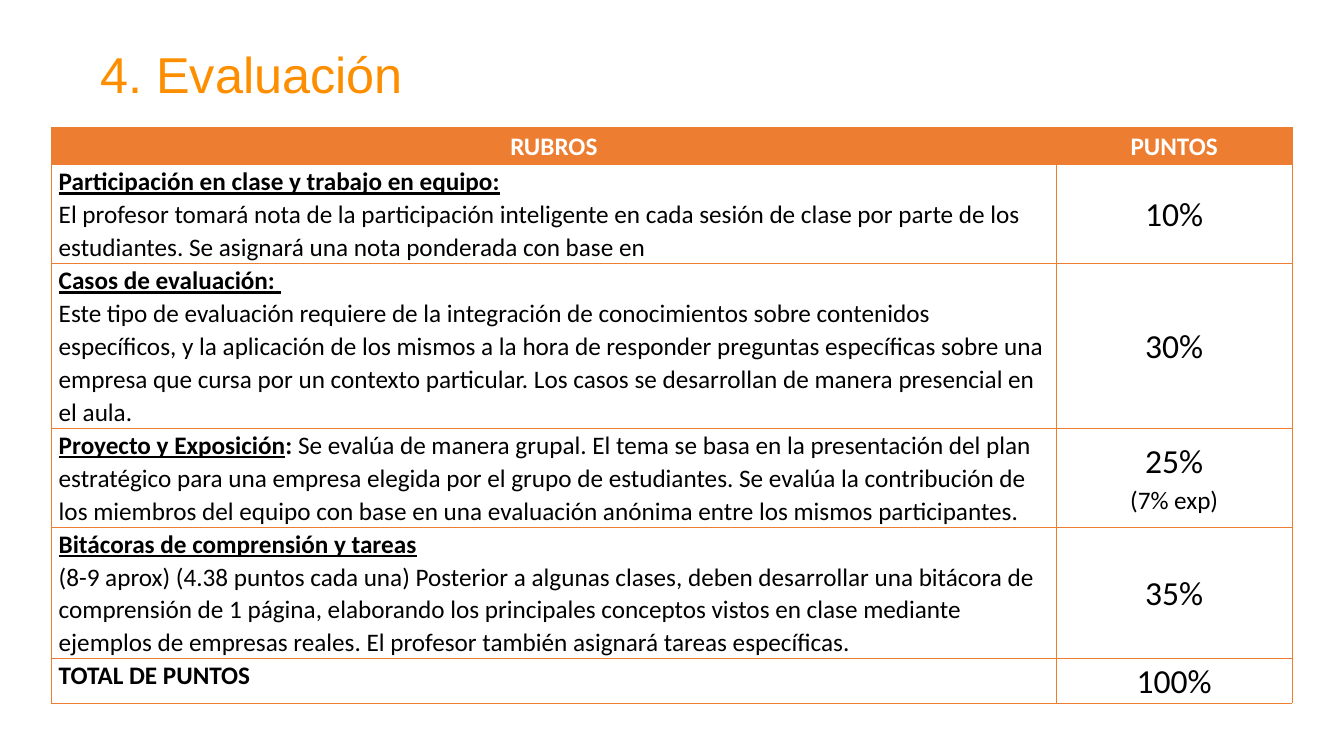
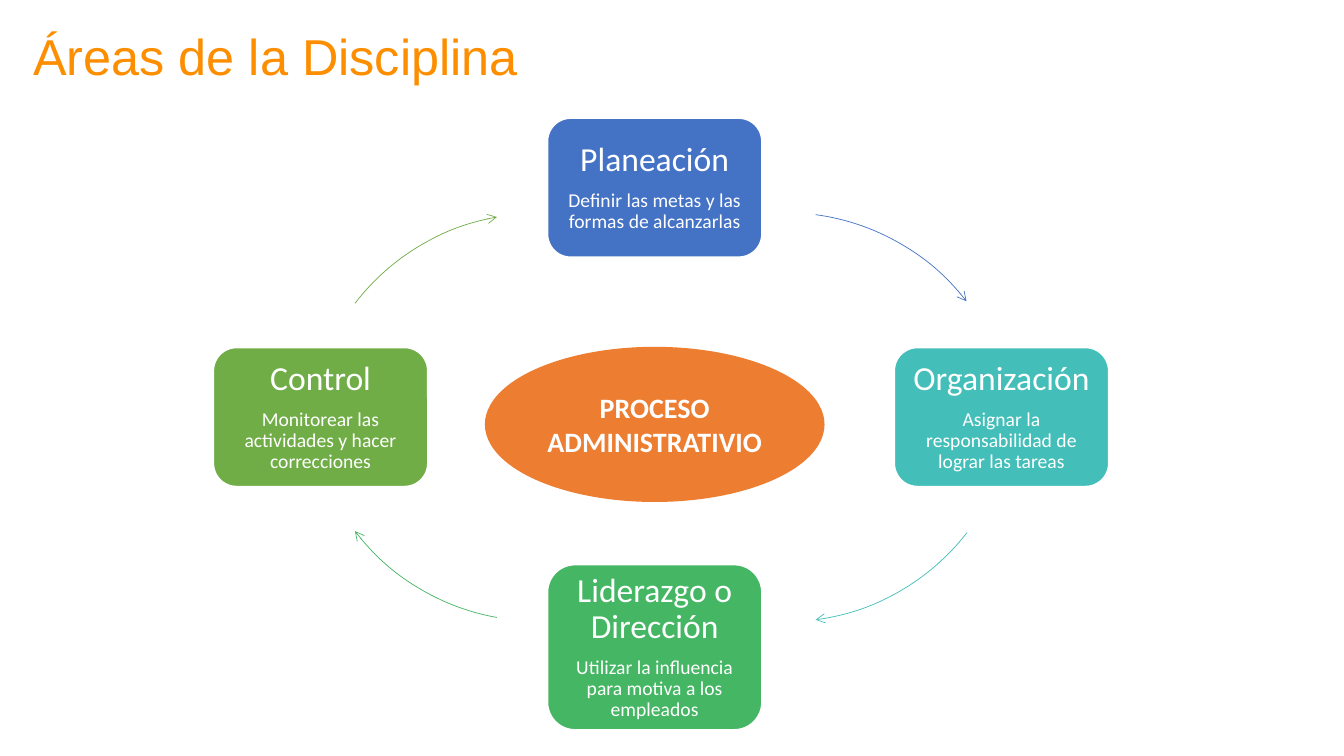
from pptx import Presentation
from pptx.dml.color import RGBColor
from pptx.enum.shapes import MSO_SHAPE as SHAPE
from pptx.enum.text import MSO_ANCHOR as ANCHOR, MSO_AUTO_SIZE as AUTO_SIZE, PP_ALIGN as ALIGN
from pptx.oxml import parse_xml
from pptx.oxml.ns import nsdecls
from pptx.util import Cm, Pt

AMBER = RGBColor(0xFD, 0x8E, 0x00)
ORANGE = RGBColor(0xED, 0x7D, 0x31)
BLUE = RGBColor(0x44, 0x72, 0xC4)
TEAL = RGBColor(0x43, 0xBE, 0xB9)
EMERALD = RGBColor(0x45, 0xB6, 0x64)
GREEN = RGBColor(0x70, 0xAD, 0x47)
BLACK = RGBColor(0x00, 0x00, 0x00)
WHITE = RGBColor(0xFF, 0xFF, 0xFF)
TITLE_FONT, BODY_FONT = "Arial", "Calibri"

HEADERS = ["RUBROS", "PUNTOS"]
COL_WIDTHS = [25.32, 5.94]
ROW_HEIGHTS = [0.95, 2.49, 4.15, 2.49, 3.32, 1.11]
# Each paragraph is a list of runs: (text, style), with b = bold and u = underlined.
RUBRICS = [
    ([[("Participación en clase y trabajo en equipo:", "bu")],
      [("El profesor tomará nota de la participación inteligente en cada sesión de clase por "
        "parte de los estudiantes. Se asignará una nota ponderada con base en", "")]],
     ["10%"]),
    ([[("Casos de evaluación: ", "bu")],
      [("Este tipo de evaluación requiere de la integración de conocimientos sobre contenidos "
        "específicos, y la aplicación de los mismos a la hora de responder preguntas específicas "
        "sobre una empresa que cursa por un contexto particular. Los casos se desarrollan de "
        "manera presencial en el aula.", "")]],
     ["30%"]),
    ([[("Proyecto y Exposición", "bu"), (": ", "b"),
       ("Se evalúa de manera grupal. El tema se basa en la presentación del plan estratégico "
        "para una empresa elegida por el grupo de estudiantes. Se evalúa la contribución de los "
        "miembros del equipo con base en una evaluación anónima entre los mismos participantes.",
        "")]],
     ["25%", "(7% exp)"]),
    ([[("Bitácoras de comprensión y tareas", "bu")],
      [("(8-9 aprox) (4.38 puntos cada una) Posterior a algunas clases, deben desarrollar una "
        "bitácora de comprensión de 1 página, elaborando los principales conceptos vistos en "
        "clase mediante ejemplos de empresas reales. El profesor también asignará tareas "
        "específicas.", "")]],
     ["35%"]),
    ([[("TOTAL DE PUNTOS", "b")]], ["100%"]),
]

STAGE_W, STAGE_H = 5.4, 3.5
ARC_SIZE = 11.58
# Stage: name, task, colour, left, top, height; then its arc: left, top, start and end degrees.
STAGES = [
    ("Planeación", "Definir las metas y las formas de alcanzarlas",
     BLUE, 13.8, 2.98, STAGE_H, (14, 5.36, 277.6, 322.1)),
    ("Organización", "Asignar la responsabilidad de lograr las tareas",
     TEAL, 22.54, 8.76, STAGE_H, (14, 4.09, 37.7, 82.4)),
    ("Liderazgo o Dirección", "Utilizar la influencia para motiva a los empleados",
     EMERALD, 13.8, 14.23, 4.16, (7.75, 4.07, 100.1, 142.5)),
    ("Control", "Monitorear las actividades y hacer correcciones",
     GREEN, 5.38, 8.76, STAGE_H, (7.75, 5.38, 217.5, 259.9)),
]


def set_font(p, size, color, name=BODY_FONT, bold=False):
    font = p.font
    font.name, font.size, font.bold = name, Pt(size), bold
    font.color.rgb = color


def set_insets(box, x, y):
    box.margin_left = box.margin_right = Cm(x)
    box.margin_top = box.margin_bottom = Cm(y)


def next_paragraph(tf, i):
    return tf.paragraphs[0] if i == 0 else tf.add_paragraph()


def add_titled_slide(prs, title, left, top):
    s = prs.slides.add_slide(prs.slide_layouts[5])
    sp = s.shapes.title
    sp.left, sp.top, sp.width, sp.height = Cm(left), Cm(top), Cm(29.21), Cm(1.88)
    tf = sp.text_frame
    tf.text = title
    tf.auto_size, tf.vertical_anchor = AUTO_SIZE.NONE, ANCHOR.MIDDLE
    set_insets(tf, 0.2, 0.2)
    p = tf.paragraphs[0]
    p.alignment, p.line_spacing = ALIGN.LEFT, 0.9
    set_font(p, 36, AMBER, TITLE_FONT)
    return s


def format_cell(cell, anchor):
    """Set insets and thin orange borders, and leave the cell unfilled."""
    set_insets(cell, 0.18, 0)
    cell.vertical_anchor = anchor
    tcPr = cell._tc.get_or_add_tcPr()
    for side in ("lnL", "lnR", "lnT", "lnB"):
        tcPr.append(parse_xml(
            f'<a:{side} {nsdecls("a")} w="{Pt(0.5)}"><a:solidFill>'
            f'<a:srgbClr val="{ORANGE}"/></a:solidFill></a:{side}>'))
    cell.fill.background()


def write_centred(cell, lines, sizes, color, bold=False):
    format_cell(cell, ANCHOR.MIDDLE)
    for i, (line, size) in enumerate(zip(lines, sizes)):
        p = next_paragraph(cell.text_frame, i)
        p.text = line
        p.alignment, p.line_spacing = ALIGN.CENTER, 1.07
        set_font(p, size, color, bold=bold)


def write_rubric(cell, paragraphs):
    format_cell(cell, ANCHOR.TOP)
    for i, runs in enumerate(paragraphs):
        p = next_paragraph(cell.text_frame, i)
        p.line_spacing = 1.07
        set_font(p, 18, BLACK)
        for text, style in runs:
            r = p.add_run()
            r.text = text
            r.font.bold, r.font.underline = "b" in style, "u" in style


def add_rubric_table(s):
    table = s.shapes.add_table(
        len(ROW_HEIGHTS), len(COL_WIDTHS), Cm(1.3), Cm(3.2),
        Cm(sum(COL_WIDTHS)), Cm(sum(ROW_HEIGHTS))).table
    table.horz_banding = False
    for column, width in zip(table.columns, COL_WIDTHS):
        column.width = Cm(width)
    for row, height in zip(table.rows, ROW_HEIGHTS):
        row.height = Cm(height)
    for col, header in enumerate(HEADERS):
        cell = table.cell(0, col)
        write_centred(cell, [header], [18], WHITE, bold=True)
        cell.fill.solid()
        cell.fill.fore_color.rgb = ORANGE
    for row, (paragraphs, points) in enumerate(RUBRICS, start=1):
        write_rubric(table.cell(row, 0), paragraphs)
        write_centred(table.cell(row, 1), points, [24, 18], BLACK)


def add_filled_shape(s, kind, left, top, width, height, color):
    sp = s.shapes.add_shape(kind, Cm(left), Cm(top), Cm(width), Cm(height))
    sp.shadow.inherit = False
    sp.fill.solid()
    sp.fill.fore_color.rgb = color
    sp.line.fill.background()
    sp.text_frame.word_wrap = True
    sp.text_frame.vertical_anchor = ANCHOR.MIDDLE
    return sp


def add_hub(s, text):
    sp = add_filled_shape(s, SHAPE.OVAL, 12.22, 8.74, 8.56, 3.91, ORANGE)
    p = sp.text_frame.paragraphs[0]
    p.text = text
    p.alignment = ALIGN.CENTER
    set_font(p, 20, WHITE, bold=True)


def add_stage(s, name, task, color, left, top, height):
    sp = add_filled_shape(s, SHAPE.ROUNDED_RECTANGLE, left, top, STAGE_W, height, color)
    sp.line.color.rgb = WHITE
    sp.line.width = Pt(1)
    tf = sp.text_frame
    set_insets(tf, 0.25, 0.25)
    for i, (text, size) in enumerate([(name, 24), (task, 14)]):
        p = next_paragraph(tf, i)
        p.text = text
        p.alignment, p.line_spacing = ALIGN.CENTER, 0.9
        p.space_after = Pt(0.35 * size)
        set_font(p, size, WHITE)


def add_arc_arrow(s, color, left, top, start, end):
    """Draw a clockwise arc of a circle, with an arrowhead at its end."""
    sp = s.shapes.add_shape(SHAPE.ARC, Cm(left), Cm(top), Cm(ARC_SIZE), Cm(ARC_SIZE))
    sp.shadow.inherit = False
    sp.fill.background()
    # Angles are stored in 60000ths of a degree, adjustments in 100000ths.
    for i, angle in enumerate((start, end)):
        sp.adjustments[i] = angle * 0.6
    sp.line.color.rgb = color
    sp.line.width = Pt(0.5)
    sp.line._get_or_add_ln().append(
        parse_xml(f'<a:tailEnd {nsdecls("a")} type="arrow"/>'))


def main():
    prs = Presentation()
    prs.slide_width, prs.slide_height = Cm(33.87), Cm(19.05)

    s = add_titled_slide(prs, "4. Evaluación", 2.33, 1)
    add_rubric_table(s)

    s = add_titled_slide(prs, "Áreas de la Disciplina", 0.64, 0.55)
    add_hub(s, "PROCESO ADMINISTRATIVIO")
    for name, task, color, left, top, height, arc in STAGES:
        add_stage(s, name, task, color, left, top, height)
        add_arc_arrow(s, color, *arc)

    prs.save("out.pptx")


if __name__ == "__main__":
    main()
